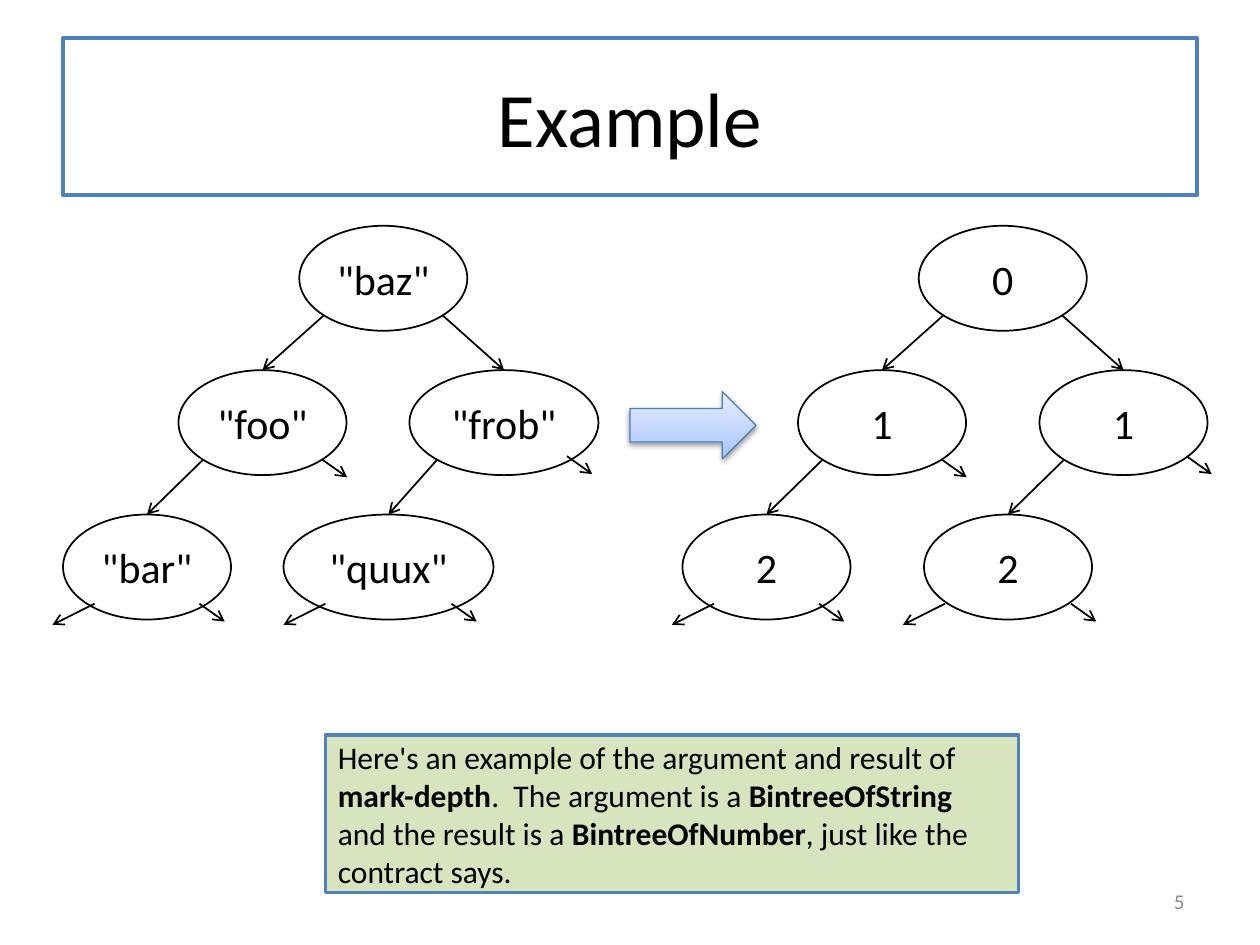
import math
from dataclasses import dataclass

import lxml.etree
import pptx
import pptx.dml.color
import pptx.enum.shapes
import pptx.enum.text
import pptx.oxml
import pptx.oxml.ns
import pptx.util

Shape = pptx.enum.shapes.MSO_SHAPE
Align = pptx.enum.text.PP_ALIGN
Middle = pptx.enum.text.MSO_ANCHOR.MIDDLE
qn = pptx.oxml.ns.qn
SPACE = 'xmlns:a="http://schemas.openxmlformats.org/drawingml/2006/main"'


@dataclass(frozen=True)
class Theme:
    font: str = "Calibri"
    black: str = "000000"
    white: str = "FFFFFF"
    gray: str = "8C8C8C"
    blue: str = "4F81BD"
    edge: str = "4B7EBC"
    green: str = "D7E4BD"
    blend: tuple = ((0, "A4C4FF"), (35, "BFD4FF"), (100, "E6EEFF"))
    head: int = 44
    label: int = 24
    note: int = 18
    small: int = 12


theme = Theme()

# Grid of 120 columns by 90 rows, twelve to the inch
WIDTH, HEIGHT = 10, 7.5
COLS = 120

# Tree layout: node centre column, level and width
TOP, STEP, TALL = 21.5, 13.75, 10
NODES = {
    "left leaf": (14, 2, 16),
    "right leaf": (37, 2, 20),
    "left": (25, 1, 16),
    "right": (48, 1, 18),
    "root": (36.5, 0, 16),
}
EDGES = (("root", "left", -1), ("root", "right", 1),
         ("left", "left leaf", -1), ("right", "right leaf", -1))
# Empty branches: node, start beside its centre, start below its top
STUBS = (("left", 5.66, 8.5), ("right leaf", 6, 8.5), ("right", 6, 8.2),
         ("left leaf", 5, 8.5), ("left leaf", -5, 8.5),
         ("right leaf", -6, 8.5))


def grid(*units):
    return [pptx.util.Inches(unit * WIDTH / COLS) for unit in units]


def tint(code):
    return pptx.dml.color.RGBColor.from_string(code)


def paint(shape, fill, line, width):
    if fill:
        shape.fill.solid()
        shape.fill.fore_color.rgb = tint(fill)
    else:
        shape.fill.background()
    shape.line.color.rgb = tint(line)
    shape.line.width = pptx.util.Pt(width)


def write(shape, runs, size, align, color=theme.black):
    """Fill a shape with runs, each a pair of text and bold."""
    frame = shape.text_frame
    frame.word_wrap = True
    frame.vertical_anchor = Middle
    para = frame.paragraphs[0]
    para.alignment = align
    for text, bold in runs:
        run = para.add_run()
        run.text = text
        run.font.name = theme.font
        run.font.size = pptx.util.Pt(size)
        run.font.bold = bold
        run.font.color.rgb = tint(color)


def arrow(shapes, start, end):
    line = shapes.add_connector(pptx.enum.shapes.MSO_CONNECTOR.STRAIGHT,
                                *grid(*start, *end))
    line.line.color.rgb = tint(theme.black)
    line.line.width = pptx.util.Pt(1)
    tail = lxml.etree.SubElement(line.line._get_or_add_ln(), qn("a:tailEnd"))
    tail.set("type", "arrow")
    lxml.etree.SubElement(line._element.spPr, qn("a:effectLst"))


def node(shapes, text, spot, wide):
    x, y = spot
    oval = shapes.add_shape(Shape.OVAL, *grid(x - wide / 2, y, wide, TALL))
    oval.shadow.inherit = False
    paint(oval, None, theme.black, 1)
    frame = oval.text_frame
    frame.margin_left = frame.margin_right = 0
    write(oval, [(text, False)], theme.label, Align.CENTER)


def tree(slide, labels, shift, widths):
    shapes = slide.shapes.add_group_shape().shapes
    spots = {name: (x + shift, TOP + STEP * level)
             for name, (x, level, _) in NODES.items()}
    for name, text in zip(NODES, labels):
        node(shapes, text, spots[name], widths[name])
    # Branches leave at 45 degrees and meet the top of the child
    slant = math.sqrt(0.5) / 2
    for parent, child, side in EDGES:
        x, y = spots[parent]
        start = (x + side * slant * widths[parent], y + TALL * (0.5 + slant))
        arrow(shapes, start, spots[child])
    for name, across, down in STUBS:
        x, y = spots[name][0] + across, spots[name][1] + down
        end = (x + 2.4, y + 1.7) if across > 0 else (x - 4, y + 2)
        arrow(shapes, (x, y), end)


def block(slide):
    """Wide arrow with a blend and a soft shadow."""
    shape = slide.shapes.add_shape(Shape.RIGHT_ARROW,
                                   *grid(60, 37.3, 12, 6.4))
    paint(shape, None, theme.edge, 0.75)
    stops = "".join(f'<a:gs pos="{at * 1000}"><a:srgbClr val="{code}"/></a:gs>'
                    for at, code in theme.blend)
    blend = pptx.oxml.parse_xml(
        f'<a:gradFill {SPACE} rotWithShape="1"><a:gsLst>{stops}</a:gsLst>'
        '<a:lin ang="16200000" scaled="0"/></a:gradFill>')
    props = shape._element.spPr
    props.replace(props.find(qn("a:noFill")), blend)
    shape.shadow.inherit = False
    props.find(qn("a:effectLst")).append(pptx.oxml.parse_xml(
        f'<a:outerShdw {SPACE} blurRad="40000" dist="20000" dir="5400000" '
        f'rotWithShape="0"><a:srgbClr val="{theme.black}">'
        '<a:alpha val="38000"/></a:srgbClr></a:outerShdw>'))


def title(slide, text):
    shape = slide.shapes.title
    shape.left, shape.top, shape.width, shape.height = grid(6, 3.6, 108, 15)
    paint(shape, theme.white, theme.blue, 2.25)
    write(shape, [(text, False)], theme.head, Align.CENTER)


def note(slide, runs):
    box = slide.shapes.add_shape(Shape.RECTANGLE, *grid(31, 70, 66, 15))
    box.shadow.inherit = False
    paint(box, theme.green, theme.blue, 2)
    write(box, runs, theme.note, Align.LEFT)


def number(slide, text):
    box = slide.shapes.add_textbox(*grid(86, 83.4, 28, 4.8))
    write(box, [(text, False)], theme.small, Align.RIGHT, theme.gray)


def main():
    deck = pptx.Presentation()
    deck.slide_width = pptx.util.Inches(WIDTH)
    deck.slide_height = pptx.util.Inches(HEIGHT)
    slide = deck.slides.add_slide(deck.slide_layouts[5])
    title(slide, "Example")
    number(slide, "5")

    # Result, arrow and argument
    wide = {name: width for name, (_, _, width) in NODES.items()}
    tree(slide, ("2", "2", "1", "1", "0"), 59, dict.fromkeys(NODES, 16))
    block(slide)
    tree(slide, ('"bar"', '"quux"', '"foo"', '"frob"', '"baz"'), 0, wide)

    note(slide, [
        ("Here's an example of the argument and result of ", False),
        ("mark-depth", True),
        (".  The argument is a ", False),
        ("BintreeOfString", True),
        (" and the result is a ", False),
        ("BintreeOfNumber", True),
        (", just like the contract says.", False),
    ])
    deck.save("out.pptx")


if __name__ == "__main__":
    main()
